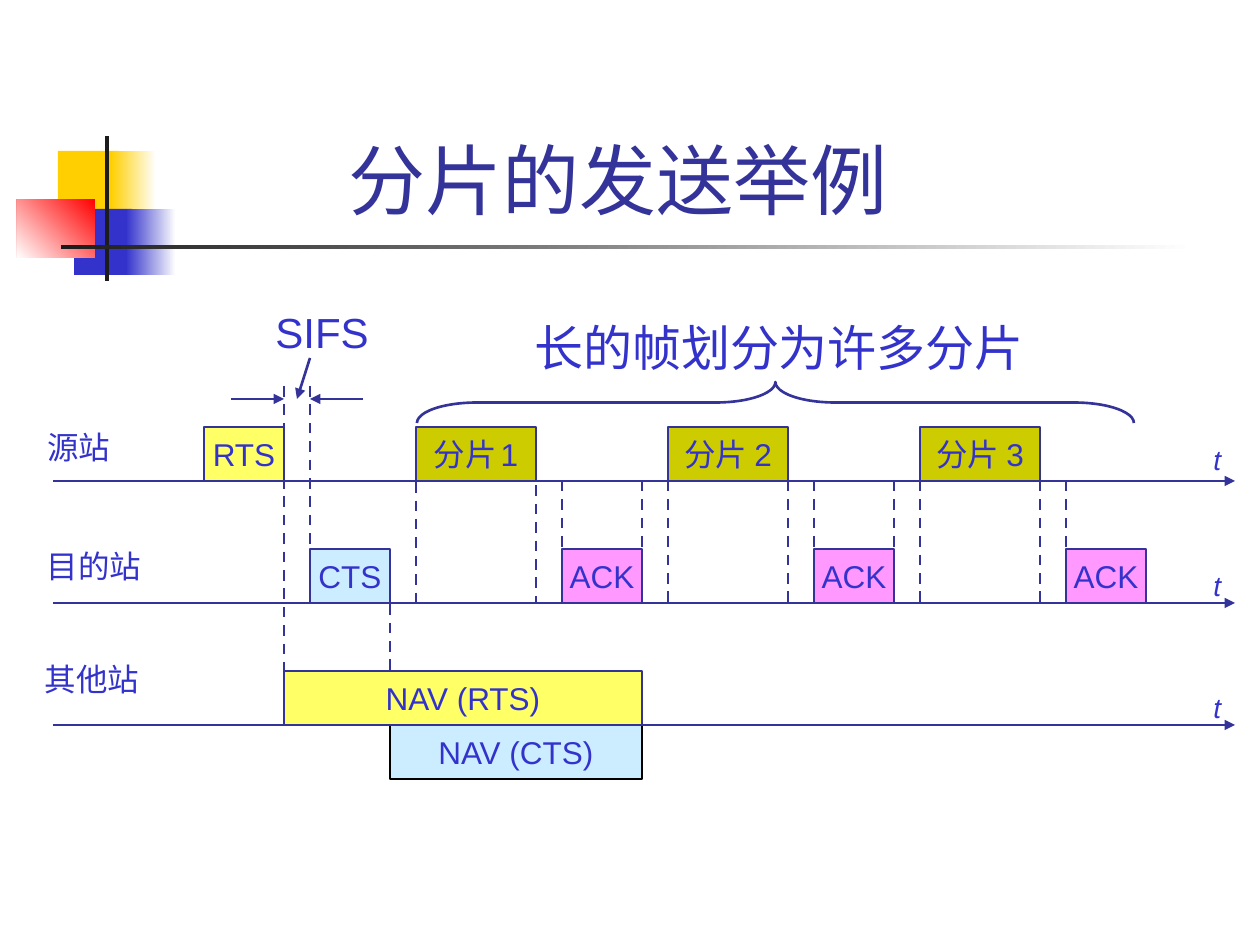
from lxml.etree import SubElement
from pptx import Presentation
from pptx.dml.color import RGBColor
from pptx.enum.dml import MSO_LINE
from pptx.enum.shapes import MSO_CONNECTOR, MSO_SHAPE
from pptx.enum.text import MSO_ANCHOR, MSO_AUTO_SIZE, PP_ALIGN
from pptx.oxml.ns import qn
from pptx.util import Pt

PX = 914400 / 126  # EMU in one px

NAVY = RGBColor(0x33, 0x33, 0x99)
BLUE = RGBColor(0x33, 0x33, 0xCC)
YELLOW = RGBColor(0xFF, 0xFF, 0x66)
SKY = RGBColor(0xCC, 0xEC, 0xFF)
OLIVE = RGBColor(0xCC, 0xCC, 0x00)
PINK = RGBColor(0xFF, 0x99, 0xFF)
GOLD = RGBColor(0xFF, 0xCF, 0x01)
RED = RGBColor(0xFF, 0x00, 0x00)
INK = RGBColor(0x1C, 0x1C, 0x1C)
WHITE = RGBColor(0xFF, 0xFF, 0xFF)
BLACK = RGBColor(0x00, 0x00, 0x00)

# Content
TITLE = "分片的发送举例"
SOURCE, DESTINATION, OTHER = AXES = (481, 603, 725)
AXIS_START, AXIS_END = 53, 1235
FRAME_H, SIFS, FIRST_FRAME = 54, 26, 204
# Frames in sending order, one SIFS apart: text runs, axis, width, colour
FRAMES = [
    ("RTS", SOURCE, 80, YELLOW),
    ("CTS", DESTINATION, 80, SKY),
    ([("分片", 18), (" ", 10), ("1", 18)], SOURCE, 120, OLIVE),
    ("ACK", DESTINATION, 80, PINK),
    ("分片 2", SOURCE, 120, OLIVE),
    ("ACK", DESTINATION, 80, PINK),
    ("分片 3", SOURCE, 120, OLIVE),
    ("ACK", DESTINATION, 80, PINK),
]
# Text, box, size, alignment
STATIONS = [
    ("源站", (35, 422, 88, 50)),
    ("目的站", (34, 541, 120, 50)),
    ("其他站", (29, 654, 126, 50)),
]
TIME_TOPS = (436, 562, 684)
# Box, colours of the fill, clockwise angle of the gradient
ORNAMENTS = [
    ((58, 151, 60, 66), [GOLD], 0),
    ((111, 151, 45, 66), [WHITE, GOLD], 180),
    ((74, 209, 58, 66), [BLUE], 0),
    ((126, 209, 50, 66), [WHITE, BLUE], 180),
    ((17, 199, 78, 59), [RED, WHITE], 135),
    ((105, 136, 4, 145), [INK], 0),
    ((61, 245, 1134, 4), [WHITE, INK], 180),
]


def emu(*lengths):
    return [round(length * PX) for length in lengths]


def write(shape, text, size=18, color=BLUE, align=PP_ALIGN.CENTER,
          anchor=MSO_ANCHOR.MIDDLE, italic=False, wrap=False):
    frame = shape.text_frame
    frame.auto_size = MSO_AUTO_SIZE.NONE
    frame.word_wrap = wrap
    frame.vertical_anchor = anchor
    paragraph = frame.paragraphs[0]
    paragraph.alignment = align
    for part, part_size in [(text, size)] if isinstance(text, str) else text:
        run = paragraph.add_run()
        run.text = part
        run.font.name = "Arial"
        run.font.size = Pt(part_size)
        run.font.italic = italic
        run.font.color.rgb = color


def add_label(text, box, **text_format):
    label = slide.shapes.add_textbox(*emu(*box))
    write(label, text, anchor=MSO_ANCHOR.TOP, **text_format)


def add_box(box, colors, angle=0, outline=None, kind=MSO_SHAPE.RECTANGLE):
    shape = slide.shapes.add_shape(kind, *emu(*box))
    shape.shadow.inherit = False
    if len(colors) == 2:
        shape.fill.gradient()
        shape.fill.gradient_angle = 360 - angle
        for stop, color in zip(shape.fill.gradient_stops, colors):
            stop.color.rgb = color
    elif colors:
        shape.fill.solid()
        shape.fill.fore_color.rgb = colors[0]
    else:
        shape.fill.background()
    if outline is None:
        shape.line.fill.background()
    else:
        shape.line.color.rgb = outline
        shape.line.width = Pt(0.75)
    return shape


def add_line(x1, y1, x2, y2, dashed=False, arrow=False):
    line = slide.shapes.add_connector(MSO_CONNECTOR.STRAIGHT, *emu(x1, y1, x2, y2))
    line.line.color.rgb = NAVY
    line.line.width = Pt(1.5)
    if dashed:
        line.line.dash_style = MSO_LINE.DASH
    if arrow:
        SubElement(line.line._get_or_add_ln(), qn("a:tailEnd"), type="triangle")
    SubElement(line._element.spPr, qn("a:effectLst"))


prs = Presentation()
prs.slide_width, prs.slide_height = emu(1260, 945)
slide = prs.slides.add_slide(prs.slide_layouts[5])

# Title and its ornament
for box, colors, angle in ORNAMENTS:
    add_box(box, colors, angle)
title = slide.shapes.title
title.left, title.top, title.width, title.height = emu(150, 29, 937, 202)
write(title, TITLE, size=44, color=NAVY, anchor=MSO_ANCHOR.BOTTOM, wrap=True)

# Station names and time marks
for station, box in STATIONS:
    add_label(station, box)
for top in TIME_TOPS:
    add_label("t", (1201, top, 33, 46), size=16, align=PP_ALIGN.LEFT, italic=True)

# Frames
spans = []
x = FIRST_FRAME
for text, axis, width, color in FRAMES:
    write(add_box((x, axis - FRAME_H, width, FRAME_H), [color], outline=NAVY), text)
    spans.append((x, x + width))
    x += width + SIFS
rts_end, cts_start, cts_end, fragment_start, fragment_end, *later = [
    edge for span in spans for edge in span][1:-1]

# Reservation periods, both lasting until the first ACK ends
nav_end = spans[3][1]
for text, start, top, color, outline in [
    ("NAV (RTS)", rts_end, OTHER - FRAME_H, YELLOW, NAVY),
    ("NAV (CTS)", cts_end, OTHER, SKY, BLACK),
]:
    write(add_box((start, top, nav_end - start, FRAME_H), [color], outline=outline), text)

# Dashed time marks
for edge, top, bottom in [
    (rts_end, 386, OTHER - FRAME_H),
    (cts_start, 386, DESTINATION),
    (cts_end, DESTINATION - FRAME_H, OTHER - FRAME_H),
    (fragment_start, SOURCE - FRAME_H, DESTINATION),
    (fragment_end, 467, DESTINATION),
    *[(edge, SOURCE, DESTINATION) for edge in later],
]:
    add_line(edge, top, edge, bottom, dashed=True)

# SIFS gap
add_label("SIFS", (263, 300, 118, 63), size=24, align=PP_ALIGN.LEFT)
add_line(rts_end - 53, 399, rts_end, 399, arrow=True)
add_line(cts_start + 53, 399, cts_start, 399, arrow=True)
add_line(cts_start, 358, (rts_end + cts_start) / 2, 399, arrow=True)

# Brace over the fragments
add_label("长的帧划分为许多分片", (522, 311, 514, 72), size=28, align=PP_ALIGN.LEFT)
brace = add_box((755, 44, 41, 717), [], outline=NAVY, kind=MSO_SHAPE.RIGHT_BRACE)
brace.rotation = 270
brace.adjustments[0] = 1.46
brace.line.width = Pt(1.5)

# Time axes
for axis in AXES:
    add_line(AXIS_START, axis, AXIS_END, axis, arrow=True)

prs.save("out.pptx")
